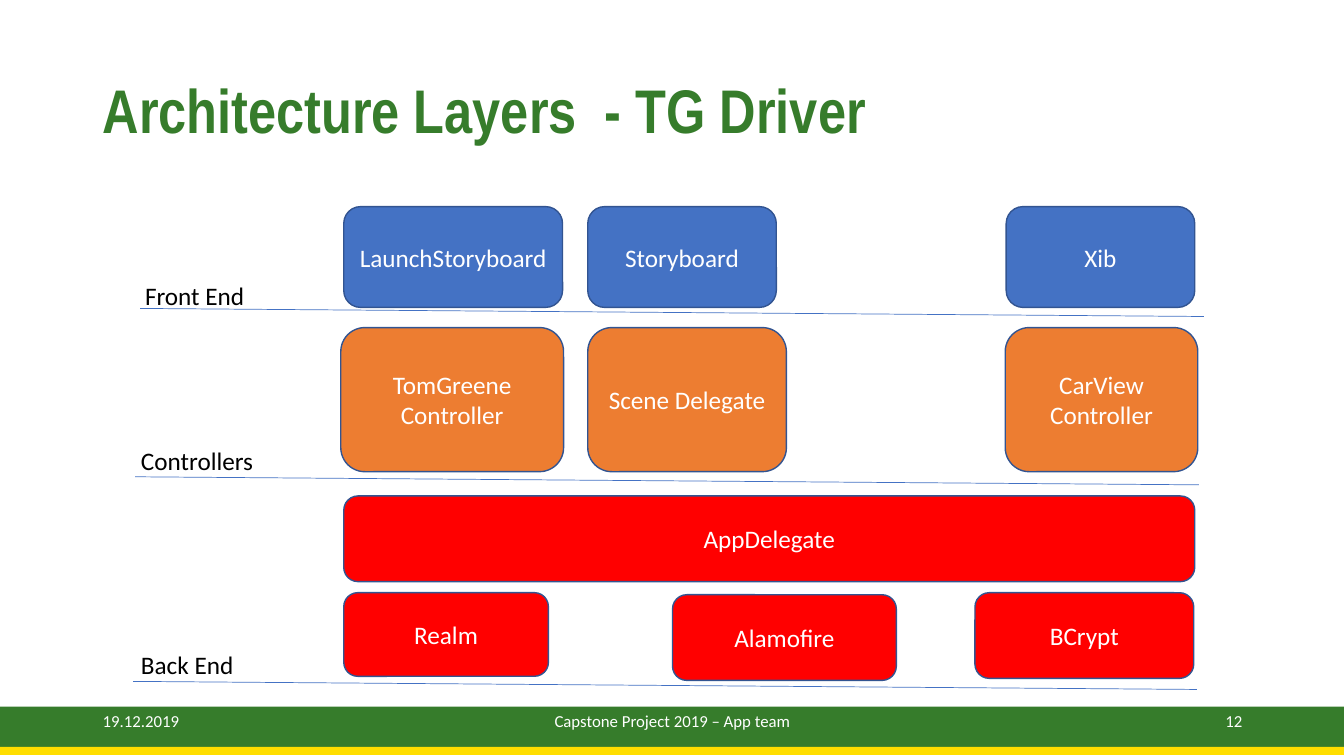
from lxml import etree
from pptx import Presentation
from pptx import util as u
from pptx.dml.color import RGBColor
from pptx.enum import shapes, text
from pptx.oxml.ns import qn

GREEN = RGBColor(0x36, 0x7C, 0x2B)
YELLOW = RGBColor(0xFF, 0xDE, 0x00)
BLUE = RGBColor(0x44, 0x72, 0xC4)
OUTLINE = RGBColor(0x32, 0x54, 0x91)
ORANGE = RGBColor(0xED, 0x7D, 0x31)
RED = RGBColor(0xFF, 0x00, 0x00)
WHITE = RGBColor(0xFF, 0xFF, 0xFF)
BLACK = RGBColor(0x00, 0x00, 0x00)

LEFT, MIDDLE, RIGHT = text.PP_ALIGN.LEFT, text.PP_ALIGN.CENTER, text.PP_ALIGN.RIGHT

# Layer name, label position, divider start
LAYERS = [
    ("Front End", 1.34, 2.73, 1.39, 3.06),
    ("Controllers", 1.3, 4.37, 1.34, 4.73),
    ("Back End", 1.3, 6.39, 1.32, 6.76),
]

# Component name, colour, left, top, width, height
COMPONENTS = [
    ("LaunchStoryboard", BLUE, 3.41, 2.05, 2.17, 1),
    ("Storyboard", BLUE, 5.83, 2.05, 1.87, 1),
    ("Xib", BLUE, 9.98, 2.05, 1.87, 1),
    ("TomGreene Controller", ORANGE, 3.38, 3.25, 2.21, 1.43),
    ("Scene Delegate", ORANGE, 5.83, 3.25, 1.97, 1.43),
    ("CarView Controller", ORANGE, 9.97, 3.25, 1.91, 1.43),
    ("AppDelegate", RED, 3.41, 4.92, 8.44, 0.85),
    ("Realm", RED, 3.41, 5.88, 2.03, 0.83),
    ("Alamofire", RED, 6.67, 5.9, 2.22, 0.85),
    ("BCrypt", RED, 9.67, 5.88, 2.17, 0.85),
]

# Footer text, left, width, alignment
FOOTER = [
    ("19.12.2019", 0.92, 3, LEFT),
    ("Capstone Project 2019 – App team", 4.42, 4.5, MIDDLE),
    ("12", 9.42, 3, RIGHT),
]


def inches(*lengths):
    return [u.Inches(length) for length in lengths]


def write(shape, words, size, color, align=LEFT, font="Calibri", bold=False,
          anchor=text.MSO_ANCHOR.MIDDLE):
    frame = shape.text_frame
    frame.word_wrap = True
    frame.vertical_anchor = anchor
    frame.text = words
    para = frame.paragraphs[0]
    para.alignment = align
    para.font.size = u.Pt(size)
    para.font.name = font
    para.font.bold = bold
    para.font.color.rgb = color
    return para


def add_text(page, place, words, size, color, **style):
    return write(page.shapes.add_textbox(*inches(*place)), words, size, color, **style)


def add_block(page, kind, place, fill):
    block = page.shapes.add_shape(kind, *inches(*place))
    block.shadow.inherit = False
    block.fill.solid()
    block.fill.fore_color.rgb = fill
    block.line.fill.background()
    return block


def add_component(page, name, fill, *place):
    block = add_block(page, shapes.MSO_SHAPE.ROUNDED_RECTANGLE, place, fill)
    block.line.color.rgb = OUTLINE
    block.line.width = u.Pt(1)
    write(block, name, 18, WHITE, align=MIDDLE)


def add_divider(page, left, top):
    line = page.shapes.add_connector(
        shapes.MSO_CONNECTOR.STRAIGHT, *inches(left, top, left + 10.55, top + 0.08))
    line.line.color.rgb = BLUE
    line.line.width = u.Pt(0.5)
    etree.SubElement(line._element.spPr, qn("a:effectLst"))


def main():
    deck = Presentation()
    deck.slide_width, deck.slide_height = inches(13.33, 7.5)
    page = deck.slides.add_slide(deck.slide_layouts[6])

    # Footer bands and text
    add_block(page, shapes.MSO_SHAPE.RECTANGLE, (0, 7.01, 13.33, 0.4), GREEN)
    add_block(page, shapes.MSO_SHAPE.RECTANGLE, (0, 7.41, 13.33, 0.08), YELLOW)
    for words, left, width, align in FOOTER:
        add_text(page, (left, 6.95, width, 0.4), words, 12, WHITE, align=align)

    # Title
    title = add_text(page, (0.92, 0.4, 11.5, 1.45), "Architecture Layers  - TG Driver",
                     44, GREEN, font="Arial Narrow", bold=True)
    title.line_spacing = 0.9

    # Layer labels and dividers
    for name, left, top, line_left, line_top in LAYERS:
        add_divider(page, line_left, line_top)
        add_text(page, (left, top, 3, 0.4), name, 18, BLACK, anchor=text.MSO_ANCHOR.TOP)

    # Components
    for component in COMPONENTS:
        add_component(page, *component)

    deck.save("out.pptx")


if __name__ == "__main__":
    main()
